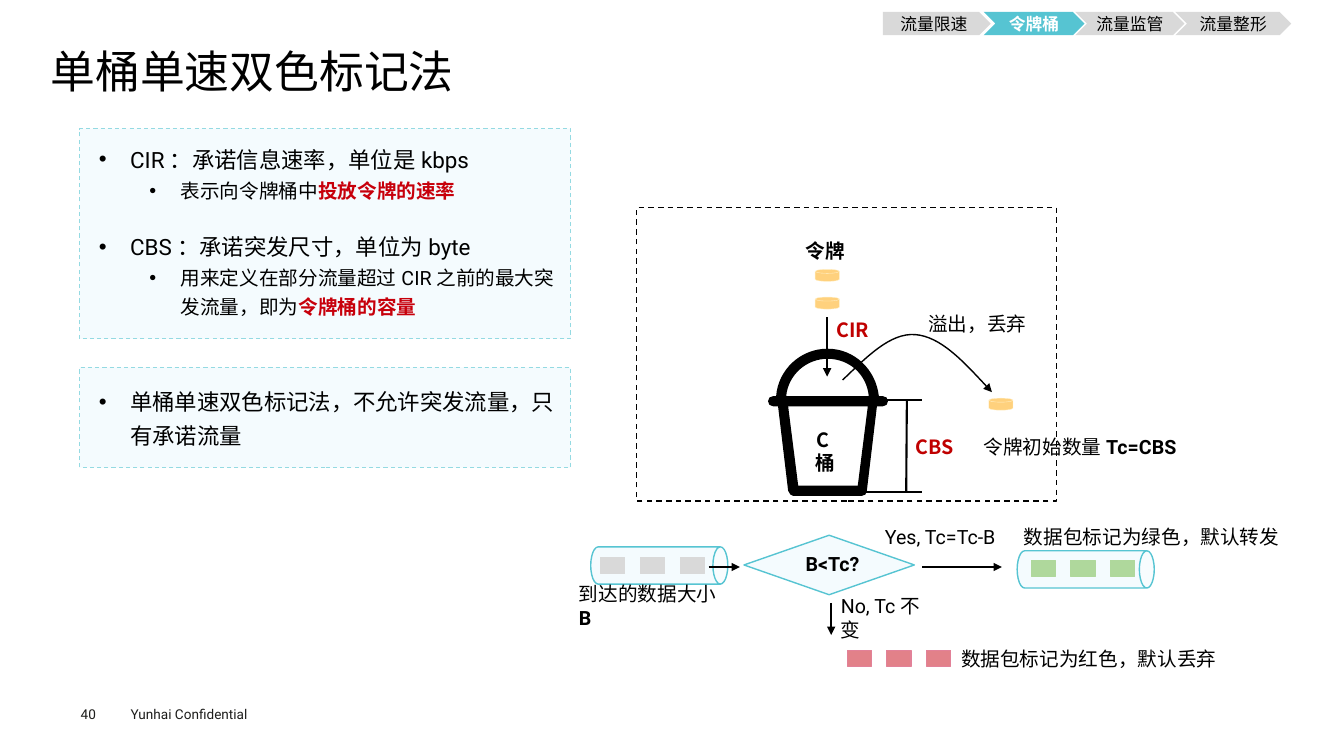
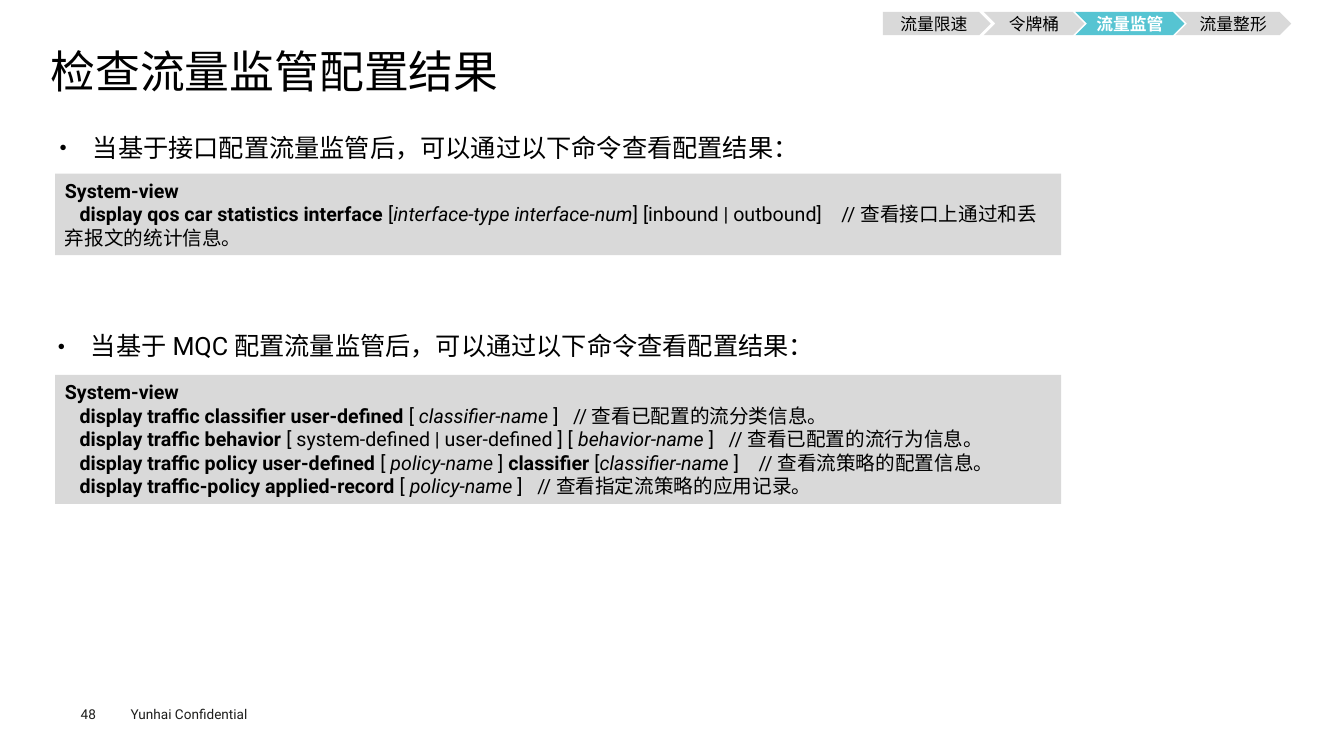
from dataclasses import dataclass
from typing import NamedTuple, Optional, Sequence

from lxml import etree
from pptx import Presentation
from pptx.dml.color import RGBColor
from pptx.enum.dml import MSO_LINE
from pptx.enum.lang import MSO_LANGUAGE_ID
from pptx.enum.shapes import MSO_CONNECTOR, MSO_SHAPE
from pptx.enum.text import MSO_ANCHOR, MSO_AUTO_SIZE, PP_ALIGN
from pptx.oxml.ns import qn
from pptx.util import Pt

BLACK = RGBColor(0x00, 0x00, 0x00)
WHITE = RGBColor(0xFF, 0xFF, 0xFF)
FOOTER_INK = RGBColor(0x1D, 0x1D, 0x1B)
GREY = RGBColor(0xD9, 0xD9, 0xD9)
TEAL = RGBColor(0x56, 0xC4, 0xD2)
PALE_TEAL = RGBColor(0x94, 0xDA, 0xE2)
ICE = RGBColor(0xF4, 0xFB, 0xFE)
EMPHASIS = RGBColor(0xC7, 0x00, 0x0B)
RATE_RED = RGBColor(0xC0, 0x00, 0x00)
GOLD = RGBColor(0xFF, 0xD1, 0x7D)
CREAM = RGBColor(0xFF, 0xF2, 0xCC)
GREEN = RGBColor(0xAF, 0xD8, 0x9C)
ROSE = RGBColor(0xE2, 0x81, 0x89)
ROSE_EDGE = RGBColor(0xE2, 0x81, 0x98)

ROBOTO = "Roboto"
NOTO = "Noto Sans CJK SC"
CHINESE = MSO_LANGUAGE_ID.SIMPLIFIED_CHINESE
LEFT, CENTER, JUSTIFY = PP_ALIGN.LEFT, PP_ALIGN.CENTER, PP_ALIGN.JUSTIFY
TOP, MIDDLE = MSO_ANCHOR.TOP, MSO_ANCHOR.MIDDLE
RECT, CAN = MSO_SHAPE.RECTANGLE, MSO_SHAPE.CAN
PENTAGON, CHEVRON = MSO_SHAPE.PENTAGON, MSO_SHAPE.CHEVRON
DECISION, DISK = MSO_SHAPE.FLOWCHART_DECISION, MSO_SHAPE.FLOWCHART_MAGNETIC_DISK
STRAIGHT, DASH, NO_FIT = MSO_CONNECTOR.STRAIGHT, MSO_LINE.DASH, MSO_AUTO_SIZE.NONE

TWO_CONTENT = 3
CHAPTERS = (("流量限速", 630.7, 77), ("令牌桶", 702.7, 72),
            ("流量监管", 768.2, 77.8), ("流量整形", 839.5, 82.8))
Point = tuple[float, float]
Box = tuple[float, float, float, float]


class Span(NamedTuple):
    text: str
    bold: bool = False
    italic: bool = False
    color: RGBColor = BLACK


class Item(NamedTuple):
    spans: Sequence[Span]
    size: float
    level: int = 0
    space_before: float = 0


@dataclass(frozen=True)
class ListStyle:
    bullet: str
    bullet_percent: int
    hanging: float
    level_step: float
    spacing: float
    align: PP_ALIGN


@dataclass(frozen=True)
class Label:
    spans: Sequence[Span]
    left: float
    top: float
    width: float
    font: str = NOTO
    align: PP_ALIGN = LEFT
    wrap: bool = False


class Stroke(NamedTuple):
    start: Point
    end: Point
    width: float = 1
    arrow: bool = False


class Contour(NamedTuple):
    start: Point
    segments: Sequence[Sequence[Point]]


PANEL_LIST = ListStyle("•", 100, 22.3, 36, 1.25, LEFT)
PAGE_LIST = ListStyle("●", 50, 23.8, 0, 1.4, JUSTIFY)

BUCKET = (
    Contour((630.7, 283), (
        [(627.8, 283)],
        [(625.7, 264.2), (610.6, 249.1), (591.1, 249.1)],
        [(571.7, 249.1), (555.8, 264.2), (554.4, 283)],
        [(552.2, 283)],
        [(550.1, 283), (548.6, 284.4), (548.6, 286.6)],
        [(548.6, 288.7), (550.1, 290.2), (552.2, 290.2)],
        [(555.8, 290.2)], [(563, 350.6)],
        [(563.8, 352.8), (565.2, 354.2), (566.6, 354.2)],
        [(615.6, 354.2)],
        [(617.8, 354.2), (619.2, 352.8), (619.2, 350.6)],
        [(626.4, 290.2)], [(630.7, 290.2)],
        [(632.9, 290.2), (634.3, 288.7), (634.3, 286.6)],
        [(634.3, 284.4), (632.9, 283), (630.7, 283)])),
    Contour((612.7, 347), ([(570.2, 347)], [(563, 290.2)], [(619.9, 290.2)], [(612.7, 347)])),
    Contour((561.6, 283), (
        [(563, 267.8), (576, 256.3), (591.1, 256.3)],
        [(607, 256.3), (619.2, 267.8), (620.6, 283)],
        [(561.6, 283)])))
OVERFLOW = (Contour((601.9, 271.4), (
    [(619.2, 254.9), (635.8, 237.6), (653.8, 239)],
    [(671.8, 240.5), (689.8, 259.9), (708.5, 280.1)])),)


def place(shape, box: Box) -> None:
    shape.left, shape.top, shape.width, shape.height = map(Pt, box)


def paint(shape, fill: Optional[RGBColor], line: Optional[RGBColor] = None,
          width: float = 1, dashed: bool = False) -> None:
    if fill is None:
        shape.fill.background()
    else:
        shape.fill.solid()
        shape.fill.fore_color.rgb = fill
    if line is None:
        shape.line.fill.background()
        return
    shape.line.color.rgb = line
    shape.line.width = Pt(width)
    if dashed:
        shape.line.dash_style = DASH


def add_figure(slide, kind, box: Box, fill: Optional[RGBColor],
               line: Optional[RGBColor] = None, width: float = 1, dashed: bool = False):
    figure = slide.shapes.add_shape(kind, *map(Pt, box))
    figure.shadow.inherit = False
    paint(figure, fill, line, width, dashed)
    return figure


def setup_frame(frame, insets: Box, anchor=TOP, wrap: bool = True) -> None:
    frame.auto_size = NO_FIT
    frame.word_wrap = wrap
    frame.vertical_anchor = anchor
    frame.margin_left, frame.margin_top, frame.margin_right, frame.margin_bottom = map(Pt, insets)


def write(paragraph, spans: Sequence[Span], size: float, font: str = ROBOTO,
          align: PP_ALIGN = LEFT) -> None:
    paragraph.alignment = align
    for span in spans:
        run = paragraph.add_run()
        run.text = span.text
        run.font.name = font
        run.font.size = Pt(size)
        run.font.bold, run.font.italic = span.bold, span.italic
        run.font.color.rgb = span.color
        run.font.language_id = CHINESE
        etree.SubElement(run.font._element, qn("a:ea"), typeface=ROBOTO)


def write_list(frame, items: Sequence[Item], style: ListStyle) -> None:
    for index, item in enumerate(items):
        paragraph = frame.add_paragraph() if index else frame.paragraphs[0]
        properties = paragraph._p.get_or_add_pPr()
        properties.set("marL", str(Pt(style.hanging + item.level * style.level_step)))
        properties.set("indent", str(-Pt(style.hanging)))
        etree.SubElement(properties, qn("a:buSzPct"), val=str(style.bullet_percent * 1000))
        etree.SubElement(properties, qn("a:buChar"), char=style.bullet)
        paragraph.level = item.level
        paragraph.line_spacing = style.spacing
        paragraph.space_before = Pt(item.space_before)
        write(paragraph, item.spans, item.size, align=style.align)


def add_label(slide, label: Label) -> None:
    box = slide.shapes.add_textbox(*map(Pt, (label.left, label.top, label.width, 23.8)))
    setup_frame(box.text_frame, (7.2, 3.6, 7.2, 3.6), MIDDLE, label.wrap)
    write(box.text_frame.paragraphs[0], label.spans, 14, label.font, label.align)


def add_arrowhead(shape) -> None:
    outline = shape._element.spPr.find(qn("a:ln"))
    etree.SubElement(outline, qn("a:tailEnd"), type="triangle")


def add_stroke(slide, stroke: Stroke) -> None:
    connector = slide.shapes.add_connector(STRAIGHT, *map(Pt, stroke.start + stroke.end))
    connector.line.color.rgb = BLACK
    connector.line.width = Pt(stroke.width)
    if stroke.arrow:
        add_arrowhead(connector)
    etree.SubElement(connector._element.spPr, qn("a:effectLst"))


def add_outline(slide, contours: Sequence[Contour], closed: bool):
    builder = slide.shapes.build_freeform(*map(Pt, contours[0].start), scale=1.0)
    for index, contour in enumerate(contours):
        if index:
            builder.move_to(*map(Pt, contour.start))
        points = [(Pt(x), Pt(y)) for segment in contour.segments for x, y in segment]
        builder.add_line_segments(points, close=closed)
    outline = builder.convert_to_shape()
    outline.shadow.inherit = False
    steps = iter(list(outline._element.iter(qn("a:lnTo"))))
    for contour in contours:
        for segment in contour.segments:
            first, *others = [next(steps) for _ in segment]
            if others:
                first.tag = qn("a:cubicBezTo")
            for other in others:
                first.append(other[0])
                other.getparent().remove(other)
    return outline


def add_packets(slide, left: float, top: float, fill: RGBColor, edge: RGBColor) -> None:
    for index in range(3):
        add_figure(slide, RECT, (left + index * 28.4, top, 17.3, 11.5), fill, edge, 0.75)


def start_slide(deck, title: str, number: int, chapter: str):
    slide = deck.slides.add_slide(deck.slide_layouts[TWO_CONTENT])
    heading = slide.shapes.title
    place(heading, (36, 35.3, 886.3, 38.2))
    setup_frame(heading.text_frame, (0, 0, 0, 0))
    heading.text_frame.paragraphs[0].line_spacing = 0.9
    write(heading.text_frame.paragraphs[0], [Span(title)], 32)
    for text, box, insets in (("Yunhai Confidential", (86.2, 500.4, 115.2, 19.4), (7.2, 3.6, 7.2, 3.6)),
                              (str(number), (57.6, 504, 39.6, 11.5), (0, 0, 0, 0))):
        footer = slide.shapes.add_textbox(*map(Pt, box)).text_frame
        setup_frame(footer, insets, wrap=False)
        write(footer.paragraphs[0], [Span(text, color=FOOTER_INK)], 9.7)
    for index, (name, left, width) in enumerate(CHAPTERS):
        active = name == chapter
        step = add_figure(slide, CHEVRON if index else PENTAGON, (left, 8.6, width, 16.6),
                          TEAL if active else GREY)
        setup_frame(step.text_frame, (0, 0, 0, 0), MIDDLE)
        write(step.text_frame.paragraphs[0],
              [Span(name, active, color=WHITE if active else BLACK)], 12, align=CENTER)
    return slide


def build_marking_slide(deck) -> None:
    slide = start_slide(deck, "单桶单速双色标记法", 40, "令牌桶")
    rates = [Item([Span("CIR：承诺信息速率，单位是kbps")], 16),
             Item([Span("表示向令牌桶中"), Span("投放令牌的速率", True, color=EMPHASIS)], 14, 1),
             Item([Span("CBS：承诺突发尺寸，单位为byte")], 16, 0, 17.4),
             Item([Span("用来定义在部分流量超过CIR之前的最大突发流量，即为"),
                   Span("令牌桶的容量", True, color=EMPHASIS)], 14, 1)]
    limit = [Item([Span("单桶单速双色标记法，不允许突发流量，只有承诺流量")], 16)]
    panels = ((rates, 91.8, 150.2, 7.6), (limit, 262.4, 71.6, 10))
    for holder, (items, top, height, inset) in zip(list(slide.placeholders)[1:], panels):
        place(holder, (56.9, top, 350.6, height))
        paint(holder, ICE, PALE_TEAL, 0.75, True)
        setup_frame(holder.text_frame, (13.8, inset, 6, 0))
        write_list(holder.text_frame, items, PANEL_LIST)

    add_figure(slide, RECT, (454.6, 148.3, 300.2, 209.5), None, BLACK, 1, True)
    for left, top in ((457.6, 355), (762.2, 357.8)):
        pipe = add_figure(slide, CAN, (left, top, 26.6, 97.9), ICE, TEAL)
        pipe.adjustments[0] = 0.4
        pipe.rotation = 90
    for left, top, fill, edge in ((429.1, 398.2, GREY, GREY), (736.6, 400.3, GREEN, GREEN),
                                  (605.1, 464.4, ROSE, ROSE_EDGE)):
        add_packets(slide, left, top, fill, edge)
    add_figure(slide, DECISION, (531.4, 382.3, 121.7, 42.5), ICE, TEAL)
    paint(add_outline(slide, BUCKET, True), BLACK)
    for left, top in ((582.3, 192.4), (582.3, 212.2), (706.3, 284.4)):
        add_figure(slide, DISK, (left, top, 17.3, 8.6), GOLD, CREAM, 0.25)
    spill = add_outline(slide, OVERFLOW, False)
    paint(spill, None, BLACK)
    add_arrowhead(spill)
    for stroke in (Stroke((506.2, 405), (528.5, 405), arrow=True),
                   Stroke((658.8, 405), (715.7, 405), arrow=True),
                   Stroke((593.7, 430.6), (593.7, 453.6), arrow=True),
                   Stroke((590.8, 226.5), (590.8, 269), arrow=True),
                   Stroke((647.3, 351.4), (647.8, 285.8), 1.5),
                   Stroke((616.3, 351.4), (658.8, 351.4), 1.5),
                   Stroke((616.3, 285.8), (658.8, 285.8), 1.5)):
        add_stroke(slide, stroke)
    for label in (Label([Span("B<Tc?", True)], 567.4, 391, 54.7, ROBOTO, CENTER),
                  Label([Span("到达的数据大小"), Span("B", True)], 406.4, 420.7, 118, ROBOTO, wrap=True),
                  Label([Span("Yes, Tc=Tc-B")], 625, 371.1, 95.8, ROBOTO),
                  Label([Span("No, Tc不变")], 593.5, 429.4, 79, ROBOTO, wrap=True),
                  Label([Span("令牌", True)], 568.1, 167, 42.5, align=CENTER),
                  Label([Span("CIR", True, color=RATE_RED)], 589.9, 223.9, 38.2, align=CENTER),
                  Label([Span("CBS", True, color=RATE_RED)], 646.8, 307.4, 41.8, align=CENTER),
                  Label([Span("C桶", True)], 572.3, 310.3, 34.5, align=CENTER, wrap=True),
                  Label([Span("令牌初始数量"), Span("Tc=CBS", True)], 695.5, 307.4, 151.9, ROBOTO, CENTER),
                  Label([Span("溢出，丢弃")], 655.9, 219.6, 85),
                  Label([Span("数据包标记为红色，默认丢弃")], 679.4, 458.6, 198),
                  Label([Span("数据包标记为绿色，默认转发")], 724.3, 371.1, 200.9)):
        add_label(slide, label)


def build_check_slide(deck) -> None:
    slide = start_slide(deck, "检查流量监管配置结果", 48, "流量监管")
    hints = (("当基于接口配置流量监管后，可以通过以下命令查看配置结果：", (36, 82.8, 886.3, 40)),
             ("当基于MQC配置流量监管后，可以通过以下命令查看配置结果：", (34.6, 224.6, 674.6, 43.2)))
    for holder, (hint, box) in zip(list(slide.placeholders)[1:], hints):
        place(holder, box)
        setup_frame(holder.text_frame, (6.5, 2.9, 6.5, 2.9))
        write_list(holder.text_frame, [Item([Span(hint)], 18)], PAGE_LIST)
    view = [Span("System-view", True)]
    interface_commands = [
        view,
        [Span("   display qos car statistics interface ", True), Span("["),
         Span("interface-type interface-num", italic=True),
         Span("] [inbound | outbound]    //查看接口上通过和丢弃报文的统计信息。")]]
    policy_commands = [
        view,
        [Span("   display traffic classifier user-defined ", True), Span("[ "),
         Span("classifier-name", italic=True), Span(" ]   //查看已配置的流分类信息。")],
        [Span("   display traffic behavior", True), Span(" [ system-defined | user-defined ] [ "),
         Span("behavior-name", italic=True), Span(" ]   //查看已配置的流行为信息。")],
        [Span("   display traffic policy user-defined ", True), Span("[ "),
         Span("policy-name", italic=True), Span(" ] "), Span("classifier ", True), Span("["),
         Span("classifier-name", italic=True), Span(" ]    //查看流策略的配置信息。")],
        [Span("   display traffic-policy applied-record ", True), Span("[ "),
         Span("policy-name", italic=True), Span(" ]   //查看指定流策略的应用记录。")]]
    for commands, top, height in ((interface_commands, 124.1, 58.1), (policy_commands, 267.8, 92.2)):
        console = add_figure(slide, RECT, (39.3, top, 718.6, height), GREY)
        setup_frame(console.text_frame, (7.2, 3.6, 7.2, 3.6))
        for index, spans in enumerate(commands):
            frame = console.text_frame
            write(frame.add_paragraph() if index else frame.paragraphs[0], spans, 14)


def main() -> None:
    deck = Presentation()
    deck.slide_width, deck.slide_height = Pt(960), Pt(540)
    build_marking_slide(deck)
    build_check_slide(deck)
    deck.save("out.pptx")


if __name__ == "__main__":
    main()
